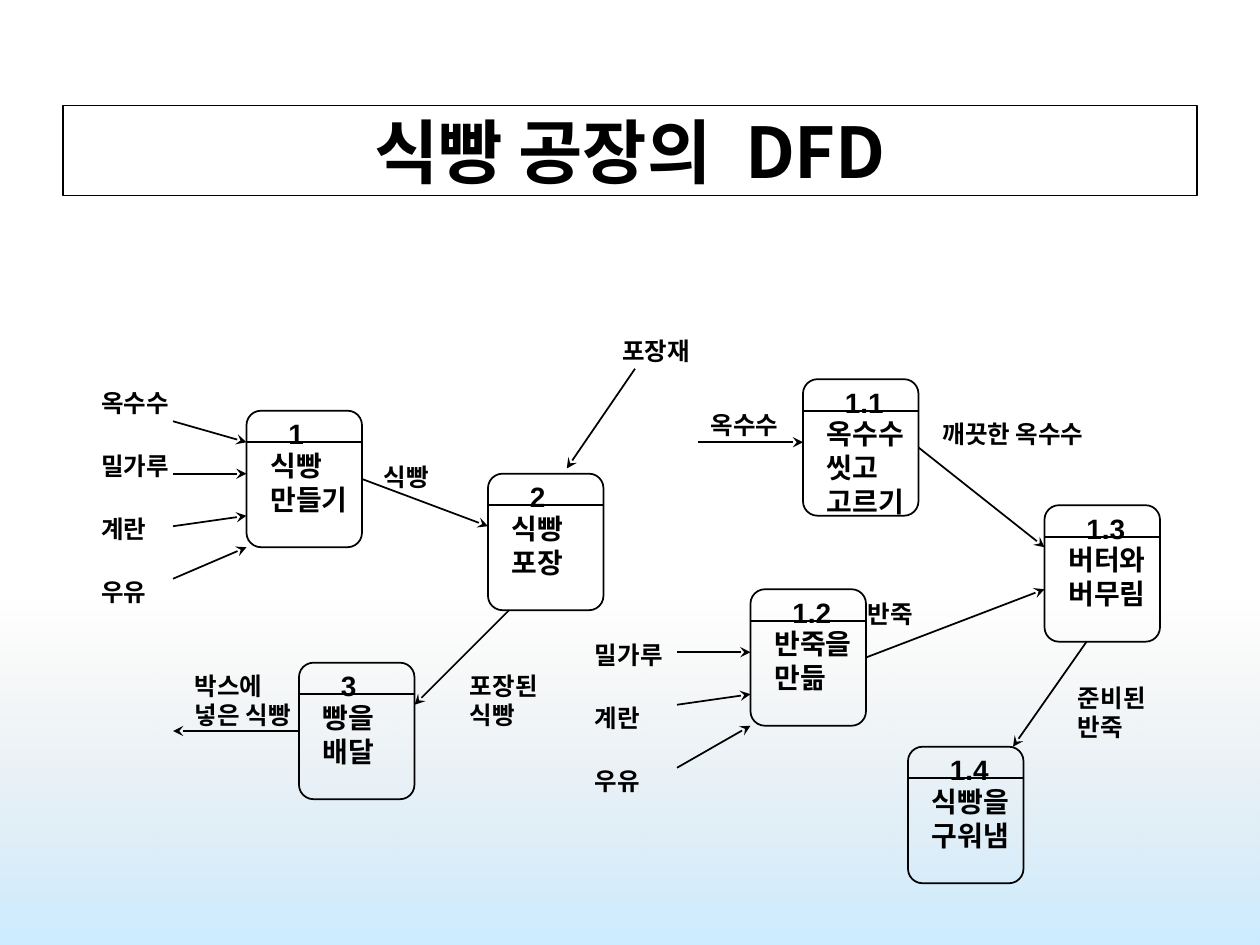
from lxml.etree import SubElement
from pptx import Presentation
from pptx.dml.color import RGBColor
from pptx.enum.shapes import MSO_CONNECTOR, MSO_SHAPE
from pptx.enum.text import MSO_ANCHOR, MSO_AUTO_SIZE, PP_ALIGN
from pptx.oxml.ns import qn
from pptx.util import Inches, Pt

THEME = {
    "ink": RGBColor.from_string("000000"), "paper": RGBColor.from_string("FFFFFF"),
    "haze": RGBColor.from_string("DDDDDD"), "sky": RGBColor.from_string("CCECFF"),
    "latin": "Arial", "korean": "Noto Sans CJK KR",
    "title": 40, "process": 16, "flow": 14, "line": 1, "frame": 0.75,
}
WIDTH, HEIGHT = 10, 7.5

# Diagram grid: cells of 1/12 inch. All places below are (column, row).
CELL, LEFT, TOP = 1 / 12, 0.04, 0.01
BOX_COLUMNS, BOX_ROWS, HEADER_ROWS = 11, 13, 3
RIGHT_SIDE, LEFT_SIDE = 3, 1

TITLE = ["식빵 공장의", " ", "DFD"]
PROCESSES = {
    "1": (23, 39, ["식빵", "만들기"]),
    "2": (46, 45, ["식빵", "포장"]),
    "3": (28, 63, ["빵을", "배달"]),
    "1.1": (76, 36, ["옥수수", "씻고", "고르기"]),
    "1.3": (99, 48, ["버터와", "버무림"]),
    "1.4": (86, 71, ["식빵을", "구워냄"]),
    "1.2": (71, 56, ["반죽을", "만듦"]),
}
ARROWS = [
    ((16, 45), (23, 45)), ((16, 40), (23, 42)), ((16, 50), (23, 49)), ((16, 55), (23, 52)),
    ((48, 58), (39, 67)), ((60, 35), (53.5, 44.5)), ((66, 42), (76, 42)),
    ((64, 62), (71, 62)), ((64, 67), (71, 66)), ((64, 73), (71, 69)), ((103, 61), (96, 71)),
]
JOINED_ARROWS = [  # process, side it leaves from, end
    ("1", RIGHT_SIDE, (46, 50)), ("3", LEFT_SIDE, (16, 69.5)),
    ("1.1", RIGHT_SIDE, (99, 52)), ("1.2", RIGHT_SIDE, (99, 56)),
]
INPUT_STEP = 6
INPUT_LISTS = [
    (8, 36.2, ["옥수수", "밀가루", "계란", "우유"]),
    (55, 60.2, ["밀가루", "계란", "우유"]),
]
FLOWS = [
    (34.9, 43.3, ["식빵"]), (43.1, 63.2, ["포장된", "식빵"]),
    (16.9, 63.2, ["박스에", "넣은 식빵"]), (66, 38.3, ["옥수수"]),
    (88.1, 39.2, ["깨끗한 옥수수"]), (81, 56.3, ["반죽"]),
    (101, 64.3, ["준비된", "반죽"]), (57.6, 31.3, ["포장재"]),
]


def place(column, row):
    return Inches(LEFT + column * CELL), Inches(TOP + row * CELL)


def text_width(line, size):
    """Inches a line takes, from the share of the type size each letter needs."""
    shares = {" ": 0.5, ".": 0.28}
    return sum(shares.get(c, 0.56 if c.isdigit() else 0.92) for c in line) * size / 72


def style_span(span, size, latin):
    for name, value in {"size": Pt(size), "bold": True, "name": latin}.items():
        setattr(span.font, name, value)
    span.font.color.rgb = THEME["ink"]
    SubElement(span.font._element, qn("a:ea"), typeface=THEME["korean"])


def add_text(page, column, row, lines, size):
    width = 0.2 + max(text_width(line, size) for line in lines)
    height = 0.1 + len(lines) * size / 60
    box = page.shapes.add_textbox(*place(column, row), Inches(width), Inches(height))
    frame = box.text_frame
    frame.word_wrap = False
    frame.auto_size = MSO_AUTO_SIZE.SHAPE_TO_FIT_TEXT
    for index, line in enumerate(lines):
        para = frame.add_paragraph() if index else frame.paragraphs[0]
        span = para.add_run()
        span.text = line
        style_span(span, size, THEME["latin"])


def add_line(page, start, end, arrow=True):
    line = page.shapes.add_connector(MSO_CONNECTOR.STRAIGHT, *place(*start), *place(*end))
    line.line.color.rgb = THEME["ink"]
    line.line.width = Pt(THEME["line"])
    if arrow:
        SubElement(line.line._get_or_add_ln(), qn("a:tailEnd"), type="stealth")
    SubElement(line._element.spPr, qn("a:effectLst"))
    return line


def add_process(page, number, column, row, lines):
    box = page.shapes.add_shape(MSO_SHAPE.ROUNDED_RECTANGLE, *place(column, row),
                                Inches(BOX_COLUMNS * CELL), Inches(BOX_ROWS * CELL))
    box.adjustments[0] = 0.125
    box.shadow.inherit = False
    box.fill.background()
    box.line.color.rgb = THEME["ink"]
    box.line.width = Pt(THEME["line"])
    divider = row + HEADER_ROWS
    add_line(page, (column, divider), (column + BOX_COLUMNS, divider), arrow=False)
    add_text(page, column + 2.8, row, [number], THEME["process"])
    add_text(page, column + 1.1, divider, lines, THEME["process"])
    return box


def add_background(page):
    """Fade from clear to sky blue over the lower part of the slide."""
    top = 0.636 * HEIGHT
    band = page.shapes.add_shape(MSO_SHAPE.RECTANGLE, 0, Inches(top),
                                 Inches(WIDTH), Inches(HEIGHT - top))
    band.shadow.inherit = False
    band.line.fill.background()
    band.fill.gradient()
    band.fill.gradient_angle = 270
    for stop, color, position in zip(band.fill.gradient_stops, ("haze", "sky"), (0, 1)):
        stop.color.rgb = THEME[color]
        stop.position = position
    clear = next(band._element.spPr.iter(qn("a:srgbClr")))
    SubElement(clear, qn("a:alpha"), val="0")


def add_title(page):
    box = page.shapes.add_shape(MSO_SHAPE.RECTANGLE, Inches(0.05 * WIDTH), Inches(0.112 * HEIGHT),
                                Inches(0.9 * WIDTH), Inches(0.095 * HEIGHT))
    box.shadow.inherit = False
    box.fill.solid()
    box.fill.fore_color.rgb = THEME["paper"]
    box.line.color.rgb = THEME["ink"]
    box.line.width = Pt(THEME["frame"])
    box.text_frame.vertical_anchor = MSO_ANCHOR.MIDDLE
    para = box.text_frame.paragraphs[0]
    para.alignment = PP_ALIGN.CENTER
    for part in TITLE:
        span = para.add_run()
        span.text = part
        style_span(span, THEME["title"], THEME["korean"])
        if part == " ":
            span.font._element.set("spc", "1000")  # widens the gap before DFD


def main():
    deck = Presentation()
    deck.slide_width, deck.slide_height = Inches(WIDTH), Inches(HEIGHT)
    page = deck.slides.add_slide(deck.slide_layouts[6])
    add_background(page)
    add_title(page)
    boxes = {number: add_process(page, number, *process)
             for number, process in PROCESSES.items()}
    for start, end in ARROWS:
        add_line(page, start, end)
    for number, side, end in JOINED_ARROWS:
        add_line(page, PROCESSES[number][:2], end).begin_connect(boxes[number], side)
    for column, row, names in INPUT_LISTS:
        for index, name in enumerate(names):
            add_text(page, column, row + index * INPUT_STEP, [name], THEME["flow"])
    for column, row, lines in FLOWS:
        add_text(page, column, row, lines, THEME["flow"])
    deck.save("out.pptx")


if __name__ == "__main__":
    main()
